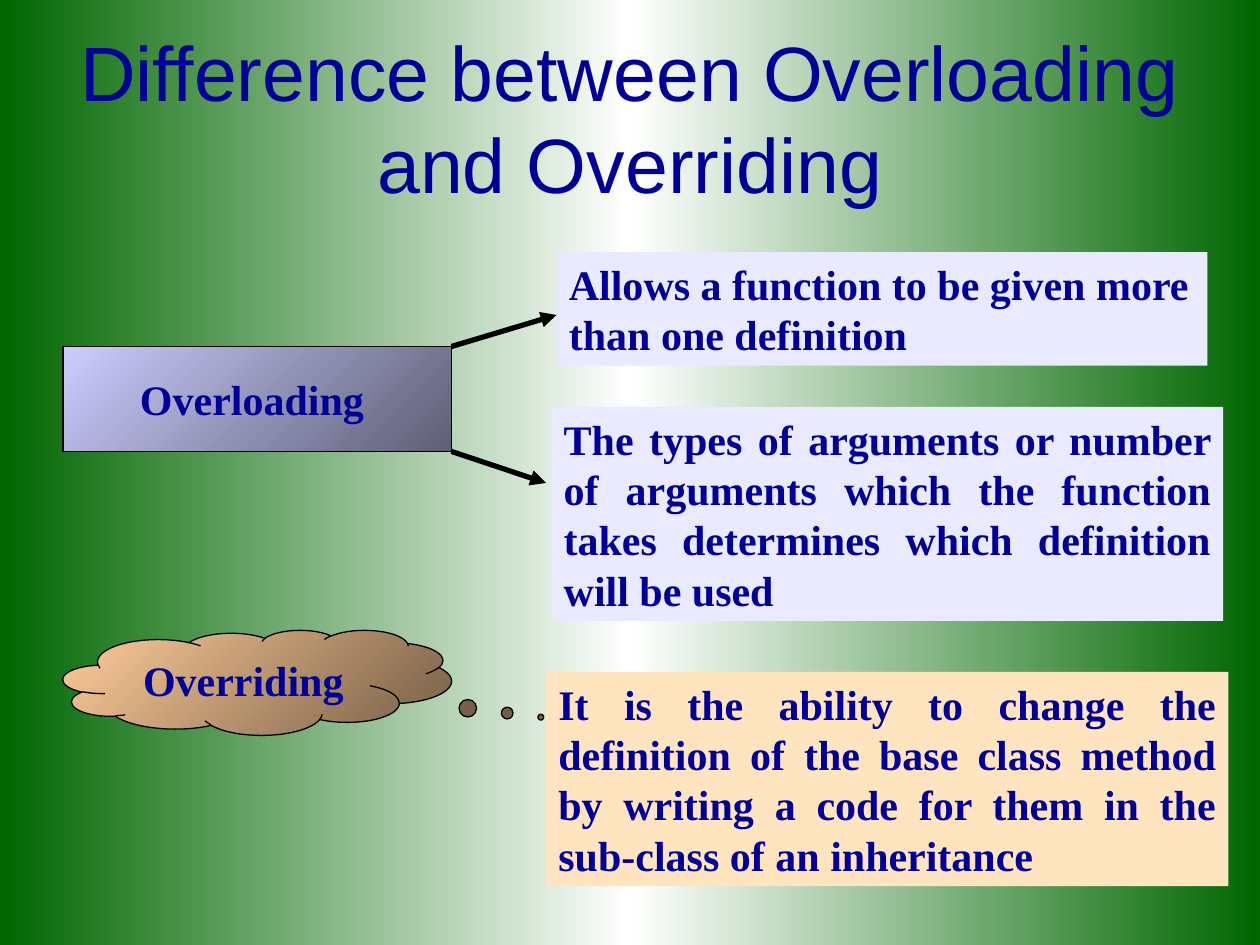
from copy import deepcopy

from lxml.etree import SubElement
from pptx import Presentation
from pptx.dml.color import RGBColor
from pptx.enum.shapes import MSO_CONNECTOR as Connector, MSO_SHAPE as Shape
from pptx.enum.text import MSO_ANCHOR as Anchor, MSO_AUTO_SIZE as AutoSize, PP_ALIGN as Align
from pptx.oxml.ns import qn
from pptx.util import Pt

NAVY = "000099"
BLACK = "000000"
LAVENDER = "E9E9FF"
TITLE_FONT = {"name": "Arial", "size": Pt(44), "bold": False}
BODY_FONT = {"name": "Times New Roman", "size": Pt(24), "bold": True}


def color(hex_string):
    return RGBColor.from_string(hex_string)


def set_gradient(owner, fill, colors, angle):
    """Spread the colours evenly along a linear gradient; angle is counter-clockwise."""
    fill.gradient()
    fill.gradient_angle = angle
    stop_list = owner.element.xpath(".//a:gsLst")[0]
    while len(stop_list) < len(colors):
        stop_list.append(deepcopy(stop_list[-1]))
    for index, (stop, value) in enumerate(zip(fill.gradient_stops, colors)):
        stop.position = index / (len(colors) - 1)
        stop.color.rgb = color(value)


def write_text(shape, text, font, align, anchor, wrap=True):
    frame = shape.text_frame
    frame.word_wrap = wrap
    frame.vertical_anchor = anchor
    para = frame.paragraphs[0]
    para.alignment = align
    span = para.add_run()
    span.text = text
    for name, value in font.items():
        setattr(span.font, name, value)
    span.font.color.rgb = color(NAVY)


def add_title(page, box, text):
    shape = page.shapes.add_textbox(*map(Pt, box))
    write_text(shape, text, TITLE_FONT, Align.CENTER, Anchor.MIDDLE)


def add_term(page, box, kind, text, colors, adjustments=()):
    shape = page.shapes.add_shape(kind, *map(Pt, box))
    shape.shadow.inherit = False
    for index, value in enumerate(adjustments):
        shape.adjustments[index] = value
    set_gradient(shape, shape.fill, colors, 135)
    shape.line.color.rgb = color(BLACK)
    shape.line.width = Pt(0.75)
    write_text(shape, text, BODY_FONT, Align.CENTER, Anchor.MIDDLE, wrap=False)


def add_definition(page, box, text, fill, align=Align.JUSTIFY):
    shape = page.shapes.add_shape(Shape.RECTANGLE, *map(Pt, box))
    shape.shadow.inherit = False
    shape.fill.solid()
    shape.fill.fore_color.rgb = color(fill)
    shape.line.fill.background()
    write_text(shape, text, BODY_FONT, align, Anchor.TOP)
    shape.text_frame.auto_size = AutoSize.SHAPE_TO_FIT_TEXT


def add_arrow(page, start, end):
    arrow = page.shapes.add_connector(Connector.STRAIGHT, *map(Pt, start + end))
    arrow.line.color.rgb = color(BLACK)
    arrow.line.width = Pt(3)
    properties = arrow.element.spPr
    SubElement(properties.find(qn("a:ln")), qn("a:tailEnd"), type="triangle")
    SubElement(properties, qn("a:effectLst"))


def add_comparison(page, box):
    """Terms stand in a left column, their definitions to the right of them."""
    left, top, _, _ = box
    term_width, term_height = 222, 60
    overloading_top, overriding_top = top + 54, top + 216
    term_right = left + term_width

    add_term(page, (left, overloading_top, term_width, term_height), Shape.RECTANGLE,
             "Overloading ", ("5E5E75", "CCCCFF"))
    add_term(page, (left, overriding_top, term_width, term_height), Shape.CLOUD_CALLOUT,
             "Overriding", ("755E46", "FFCC99"), (0.73, 0.33))

    add_definition(page, (term_right + 60, top, 372, 65),
                   "Allows a function to be given more than one definition",
                   LAVENDER, Align.LEFT)
    add_definition(page, (term_right + 57, top + 88.5, 384, 122.4),
                   "The types of arguments or number of arguments which the function "
                   "takes determines which definition will be used", LAVENDER)
    add_definition(page, (term_right + 54, top + 240, 390, 122.4),
                   "It is the ability to change the definition of the base class method "
                   "by writing a code for them in the sub-class of an inheritance", "FFE5BF")

    overloading_bottom = overloading_top + term_height
    add_arrow(page, (term_right, overloading_top), (term_right + 60, overloading_top - 18))
    add_arrow(page, (term_right, overloading_bottom), (term_right + 54, overloading_bottom + 18))


def main():
    deck = Presentation()
    deck.slide_width, deck.slide_height = Pt(720), Pt(540)
    page = deck.slides.add_slide(deck.slide_layouts[6])
    set_gradient(page, page.background.fill, ("006600", "FFFFFF", "006600"), 180)
    add_title(page, (36, 21.6, 648, 90), "Difference between Overloading and Overriding")
    add_comparison(page, (36, 144, 666, 362.4))
    deck.save("out.pptx")


if __name__ == "__main__":
    main()
